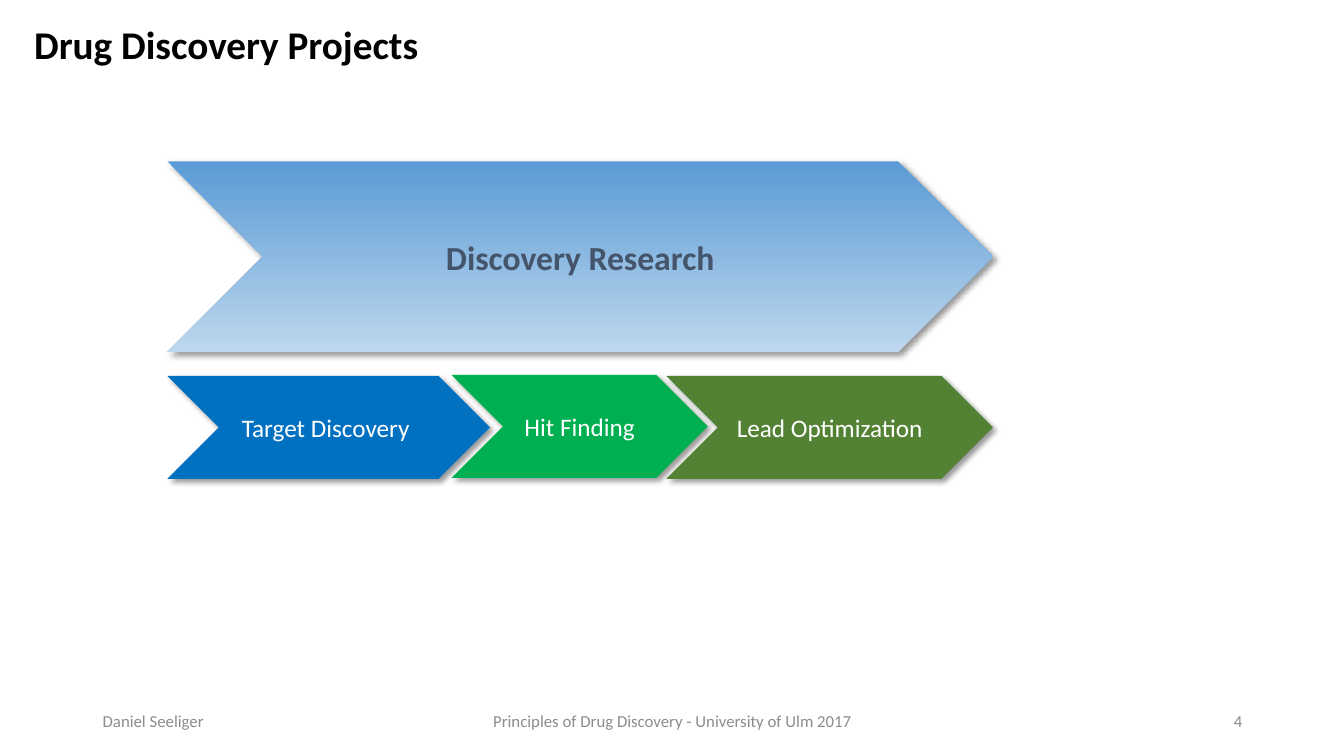
from dataclasses import dataclass

from lxml.etree import SubElement
from pptx import Presentation
from pptx.dml.color import RGBColor
from pptx.enum.shapes import MSO_SHAPE
from pptx.enum.text import MSO_ANCHOR, PP_ALIGN
from pptx.oxml.ns import qn
from pptx.shapes.autoshape import Shape
from pptx.slide import Slide
from pptx.util import Inches, Pt

COLORS = {
    "title": "000000",
    "footer": "8C8C8C",
    "white": "FFFFFF",
    "shadow": "000000",
    "target": "0070C0",
    "hit": "00B050",
    "lead": "548235",
    "research_top": "5B9BD5",
    "research_bottom": "BDD7EE",
    "research_text": "44546A",
}


@dataclass
class Label:
    text: str
    size: int
    color: str
    bold: bool = False
    align: PP_ALIGN = PP_ALIGN.CENTER


@dataclass
class Stage:
    label: Label
    left: float
    top: float
    width: float
    height: float
    fills: tuple[str, ...]


@dataclass
class FooterField:
    label: Label
    left: float
    width: float


STAGES = [
    Stage(Label("Target Discovery ", 18, "white"), 1.66, 3.73, 3.2, 1.02, ("target",)),
    Stage(Label("Hit Finding", 18, "white"), 4.48, 3.72, 2.54, 1.02, ("hit",)),
    Stage(Label("Lead Optimization", 18, "white"), 6.61, 3.73, 3.24, 1.02, ("lead",)),
    Stage(Label("Discovery Research", 24, "research_text", True),
          1.66, 1.6, 8.19, 1.89, ("research_top", "research_bottom")),
]

FOOTER = [
    FooterField(Label("Principles of Drug Discovery - University of Ulm 2017", 12, "footer"),
                4.42, 4.5),
    FooterField(Label("4", 12, "footer", align=PP_ALIGN.RIGHT), 9.42, 3),
    FooterField(Label("Daniel Seeliger", 12, "footer", align=PP_ALIGN.LEFT), 0.92, 3),
]


def rgb(name: str) -> RGBColor:
    return RGBColor.from_string(COLORS[name])


def write_label(shape: Shape, label: Label) -> None:
    frame = shape.text_frame
    frame.word_wrap = True
    frame.vertical_anchor = MSO_ANCHOR.MIDDLE
    paragraph = frame.paragraphs[0]
    paragraph.text = label.text
    paragraph.alignment = label.align
    paragraph.font.name = "Calibri"
    paragraph.font.size = Pt(label.size)
    paragraph.font.bold = label.bold
    paragraph.font.color.rgb = rgb(label.color)


def add_shadow(shape: Shape) -> None:
    """Cast a soft 40% shadow down and to the right."""
    shape.shadow.inherit = False
    effects = shape._element.spPr.find(qn("a:effectLst"))
    shadow = SubElement(effects, qn("a:outerShdw"), blurRad=str(Pt(4)), dist=str(Pt(3)),
                        dir=str(45 * 60000), algn="tl", rotWithShape="0")
    color = SubElement(shadow, qn("a:srgbClr"), val=COLORS["shadow"])
    SubElement(color, qn("a:alpha"), val="40000")


def add_stage(slide: Slide, stage: Stage) -> None:
    chevron = slide.shapes.add_shape(
        MSO_SHAPE.CHEVRON, Inches(stage.left), Inches(stage.top),
        Inches(stage.width), Inches(stage.height))
    if len(stage.fills) == 1:
        chevron.fill.solid()
        chevron.fill.fore_color.rgb = rgb(stage.fills[0])
    else:
        chevron.fill.gradient()
        chevron.fill.gradient_angle = 270
        for stop, name in zip(chevron.fill.gradient_stops, stage.fills):
            stop.color.rgb = rgb(name)
    chevron.line.fill.background()
    add_shadow(chevron)
    frame = chevron.text_frame
    frame.margin_left = frame.margin_right = frame.margin_top = frame.margin_bottom = 0
    write_label(chevron, stage.label)


def add_title(slide: Slide) -> None:
    title = slide.shapes.add_textbox(Inches(0.24), Inches(0.11), Inches(11.5), Inches(1.45))
    write_label(title, Label("Drug Discovery Projects", 28, "title", True, PP_ALIGN.LEFT))
    title.text_frame.vertical_anchor = MSO_ANCHOR.TOP
    title.text_frame.margin_top = Inches(0.14)
    title.text_frame.paragraphs[0].line_spacing = 0.9


def add_footer_field(slide: Slide, field: FooterField) -> None:
    box = slide.shapes.add_textbox(
        Inches(field.left), Inches(6.95), Inches(field.width), Inches(0.4))
    write_label(box, field.label)


def main() -> None:
    presentation = Presentation()
    presentation.slide_width = Inches(13.33)
    presentation.slide_height = Inches(7.5)
    slide = presentation.slides.add_slide(presentation.slide_layouts[6])
    add_title(slide)
    for stage in STAGES:
        add_stage(slide, stage)
    for field in FOOTER:
        add_footer_field(slide, field)
    presentation.save("out.pptx")


if __name__ == "__main__":
    main()
